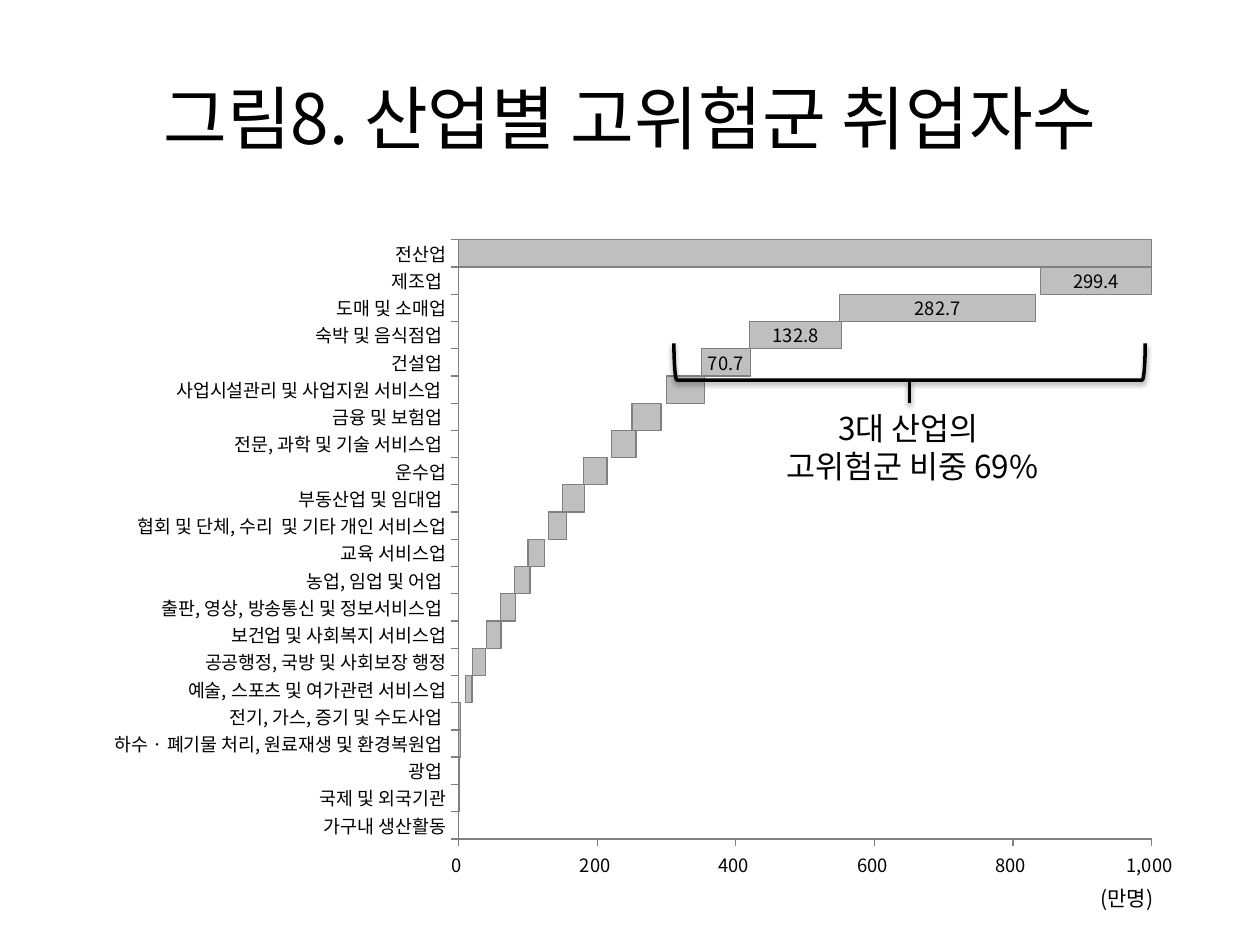
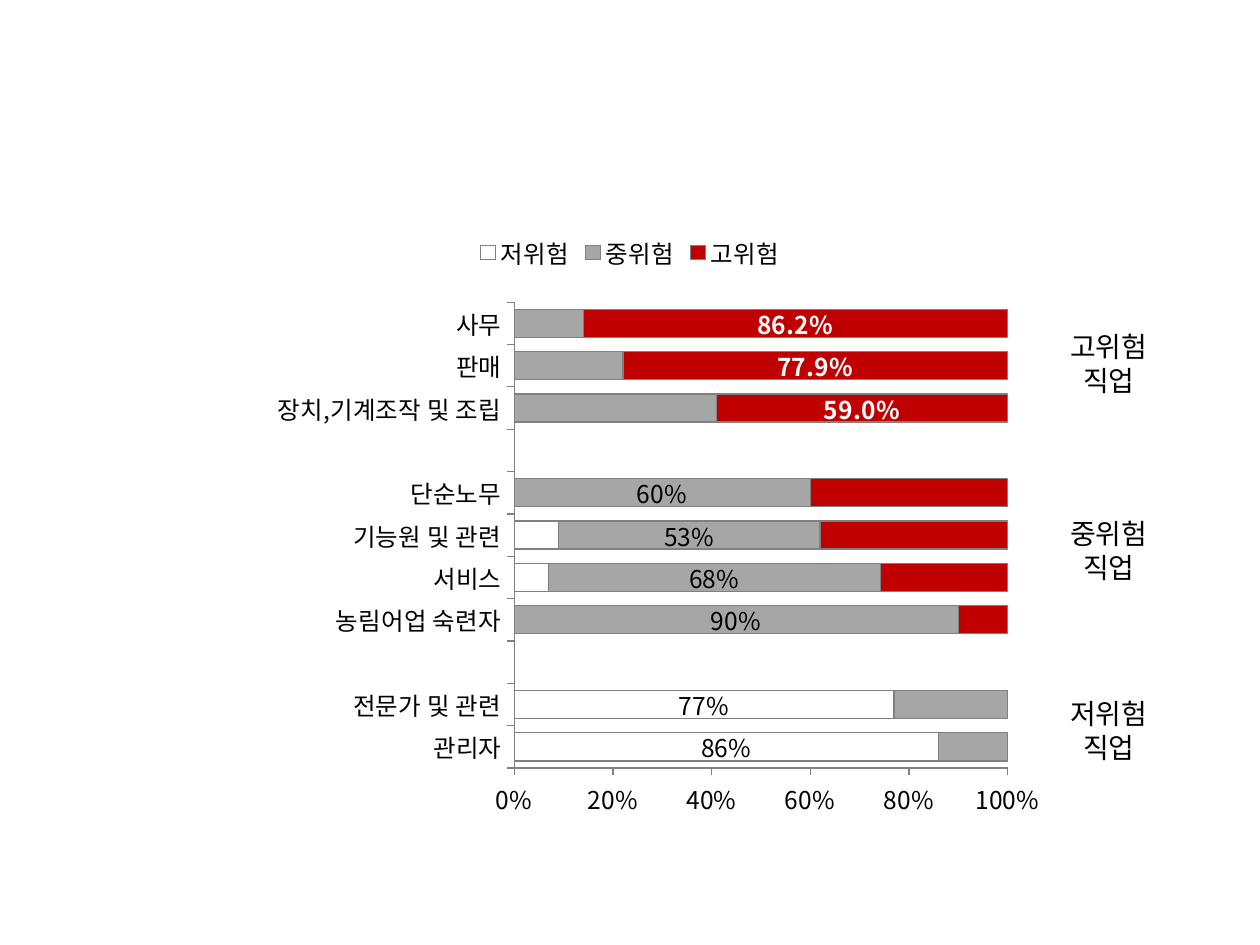
"""Build two slides of stacked bar charts on workers at high risk, by industry and by occupation."""
from dataclasses import dataclass
from itertools import accumulate
from typing import Any, Optional

from pptx import Presentation
from pptx.chart.data import CategoryChartData
from pptx.dml.color import RGBColor
from pptx.enum.chart import XL_CHART_TYPE as CT, XL_LEGEND_POSITION as LP, XL_TICK_MARK as TM
from pptx.enum.shapes import MSO_CONNECTOR as MC, MSO_SHAPE as MS
from pptx.enum.text import MSO_ANCHOR as MA, PP_ALIGN as PA
from pptx.oxml import parse_xml
from pptx.oxml.ns import nsdecls, qn
from pptx.util import Pt

FONT = "Noto Sans CJK KR"
COLORS = {"text": "000000", "white": "FFFFFF", "edge": "808080",
          "light": "BFBFBF", "mid": "A6A6A6", "high": "C00000"}

INDUSTRIES = {
    "가구내 생산활동": 0, "국제 및 외국기관": 1, "광업 ": 1,
    "하수 · 폐기물 처리, 원료재생 및 환경복원업 ": 3,
    "전기, 가스, 증기 및 수도사업 ": 3, "예술, 스포츠 및 여가관련 서비스업": 9,
    "공공행정, 국방 및 사회보장 행정": 19, "보건업 및 사회복지 서비스업": 21,
    "출판, 영상, 방송통신 및 정보서비스업 ": 22, "농업, 임업 및 어업 ": 23,
    "교육 서비스업": 24, "협회 및 단체, 수리  및 기타 개인 서비스업": 26,
    "부동산업 및 임대업 ": 32, "운수업": 34, "전문, 과학 및 기술 서비스업 ": 36,
    "금융 및 보험업 ": 42, "사업시설관리 및 사업지원 서비스업 ": 55, "건설업 ": 70.7,
    "숙박 및 음식점업 ": 132.8, "도매 및 소매업": 282.7, "제조업 ": 299.4,
}
TOTAL = 1136
OCCUPATIONS = ["관리자", "전문가 및 관련", "", "농림어업 숙련자", "서비스", "기능원 및 관련",
               "단순노무", "", "장치,기계조작 및 조립", "판매", "사무"]


@dataclass
class Series:
    name: str
    values: list[Optional[float]]
    color: Optional[str] = None
    labeled: tuple[int, ...] = ()
    label_format: str = "0%"
    label_color: str = "text"
    label_bold: bool = False


@dataclass
class BarChart:
    kind: Any
    height: float
    size: float
    gap: int
    plot: tuple[float, float, float, float]
    axis: dict[str, float]
    axis_format: str
    categories: list[str]
    series: list[Series]
    legend: bool = False


@dataclass
class Label:
    text: str
    left: float
    top: float
    width: float
    height: float
    size: float
    align: Any = PA.CENTER
    anchor: Any = MA.TOP


def put(obj: Any, **values: Any) -> None:
    for name, value in values.items():
        setattr(obj, name, value)


def rgb(name: str) -> RGBColor:
    return RGBColor.from_string(COLORS[name])


def style_font(font: Any, size: float, color: str = "text", bold: bool = False) -> None:
    put(font, size=Pt(size), bold=bold, name=FONT)
    font.color.rgb = rgb(color)
    latin = font._rPr.find(qn("a:latin"))
    latin.addnext(parse_xml(f'<a:ea {nsdecls("a")} typeface="{FONT}"/>'))


def style_line(line: Any, color: str, width: float) -> None:
    line.color.rgb = rgb(color)
    line.width = Pt(width)


def add_label(s: Any, label: Label) -> None:
    sp = s.shapes.add_textbox(Pt(label.left), Pt(label.top), Pt(label.width), Pt(label.height))
    tf = sp.text_frame
    put(tf, word_wrap=True, vertical_anchor=label.anchor)
    p = tf.paragraphs[0]
    put(p, text=label.text, alignment=label.align)
    for r in p.runs:
        style_font(r.font, label.size)


def add_shadow(sp: Any) -> None:
    sp._element.spPr.append(parse_xml(
        f'<a:effectLst {nsdecls("a")}><a:outerShdw blurRad="{Pt(3.1)}" dist="{Pt(1.6)}" '
        f'dir="5400000" rotWithShape="0"><a:srgbClr val="{COLORS["text"]}">'
        '<a:alpha val="38000"/></a:srgbClr></a:outerShdw></a:effectLst>'))


def add_bracket(s: Any) -> None:
    group = s.shapes.add_group_shape()
    bracket = group.shapes.add_shape(MS.LEFT_BRACKET, Pt(509.3), Pt(72), Pt(21), Pt(269.3))
    bracket.rotation = 270
    bracket.fill.background()
    stem = group.shapes.add_connector(MC.STRAIGHT, Pt(519.8), Pt(217.4), Pt(519.8), Pt(230.4))
    for sp in (bracket, stem):
        style_line(sp.line, "text", 2)
        add_shadow(sp)


def set_plot_area(chart: Any, plot: tuple[float, float, float, float]) -> None:
    area = chart._chartSpace.find(".//" + qn("c:plotArea"))
    for layout in area.findall(qn("c:layout")):
        area.remove(layout)
    modes = "".join(f'<c:{k}Mode val="edge"/>' for k in "xy")
    sizes = "".join(f'<c:{k} val="{v}"/>' for k, v in zip("xywh", plot))
    area.insert(0, parse_xml(
        f'<c:layout {nsdecls("c")}><c:manualLayout><c:layoutTarget val="inner"/>'
        f'{modes}{sizes}</c:manualLayout></c:layout>'))


def style_series(series: Any, spec: Series, size: float) -> None:
    series.invert_if_negative = False
    if spec.color is None:
        series.format.fill.background()
        return
    series.format.fill.solid()
    series.format.fill.fore_color.rgb = rgb(spec.color)
    style_line(series.format.line, "edge", 0.75)
    series.data_labels.show_value = False
    for i in spec.labeled:
        style_font(series.points[i].data_label.font, size, spec.label_color, spec.label_bold)
    for label in series._element.iter(qn("c:dLbl")):
        label.find(qn("c:idx")).addnext(parse_xml(
            f'<c:numFmt {nsdecls("c")} formatCode="{spec.label_format}" sourceLinked="0"/>'))


def add_bar_chart(s: Any, spec: BarChart) -> None:
    data = CategoryChartData()
    data.categories = spec.categories
    for series in spec.series:
        data.add_series(series.name, series.values)
    chart = s.shapes.add_chart(spec.kind, Pt(36), Pt(126), Pt(648), Pt(spec.height), data).chart
    put(chart, has_title=False, has_legend=spec.legend)
    style_font(chart.font, spec.size)
    if spec.legend:
        put(chart.legend, position=LP.TOP, include_in_layout=False)
    for axis in (chart.category_axis, chart.value_axis):
        put(axis, has_major_gridlines=False, major_tick_mark=TM.OUTSIDE, minor_tick_mark=TM.NONE)
        style_line(axis.format.line, "edge", 0.75)
    put(chart.value_axis, minimum_scale=0, **spec.axis)
    put(chart.value_axis.tick_labels, number_format=spec.axis_format, number_format_is_linked=False)
    put(chart.plots[0], gap_width=spec.gap, overlap=100, vary_by_categories=False)
    for series, series_spec in zip(chart.plots[0].series, spec.series):
        style_series(series, series_spec, spec.size)
    set_plot_area(chart, spec.plot)


def build_industries(s: Any) -> None:
    workers = list(INDUSTRIES.values())
    offsets = [round(v, -1) for v in accumulate(workers[:-1], initial=0)]
    add_label(s, Label("그림8. 산업별 고위험군 취업자수", 36, 21.6, 648, 90, 39.6, anchor=MA.MIDDLE))
    add_bar_chart(s, BarChart(
        CT.BAR_STACKED, 393.6, 10.5, 0, (0.349, 0.028, 0.611, 0.87),
        {"maximum_scale": 1000, "major_unit": 200}, r"#,##0_);[Red]\(#,##0\)",
        [*INDUSTRIES, "전산업"],
        [Series("Series 1", [*offsets, None]),
         Series("Series 2", [*workers, TOTAL], "light", (17, 18, 19, 20), "0.0")]))
    add_bracket(s)
    add_label(s, Label("3대 산업의 \v고위험군 비중 69%", 404.6, 230.4, 233.3, 51, 18))
    add_label(s, Label("(만명)", 558.2, 502.6, 108, 21.6, 12, PA.RIGHT))


def build_occupations(s: Any) -> None:
    add_bar_chart(s, BarChart(
        CT.BAR_STACKED_100, 356.4, 14, 50, (0.398, 0.131, 0.435, 0.747),
        {"maximum_scale": 1, "major_unit": 0.2}, "0%", OCCUPATIONS,
        [Series("저위험", [0.86, 0.77, None, 0, 0.07, 0.09, 0, None, 0, 0, 0], "white", (0, 1)),
         Series("중위험", [0.14, 0.23, None, 0.9, 0.68, 0.53, 0.6, None, 0.41, 0.22, 0.14],
                "mid", (3, 4, 5, 6)),
         Series("고위험", [0, 0, None, 0.1, 0.26, 0.38, 0.4, None, 0.59, 0.779, 0.862],
                "high", (8, 9, 10), "0.0%", "white", True)],
        legend=True))
    for text, top in (("고위험 직업", 185), ("중위험\v직업", 291.6), ("저위험\v직업", 394.6)):
        add_label(s, Label(text, 592.6, top, 82, 46, 16))


def main() -> None:
    prs = Presentation()
    put(prs, slide_width=Pt(720), slide_height=Pt(540))
    for build in (build_industries, build_occupations):
        build(prs.slides.add_slide(prs.slide_layouts[6]))
    prs.save("out.pptx")


if __name__ == "__main__":
    main()
